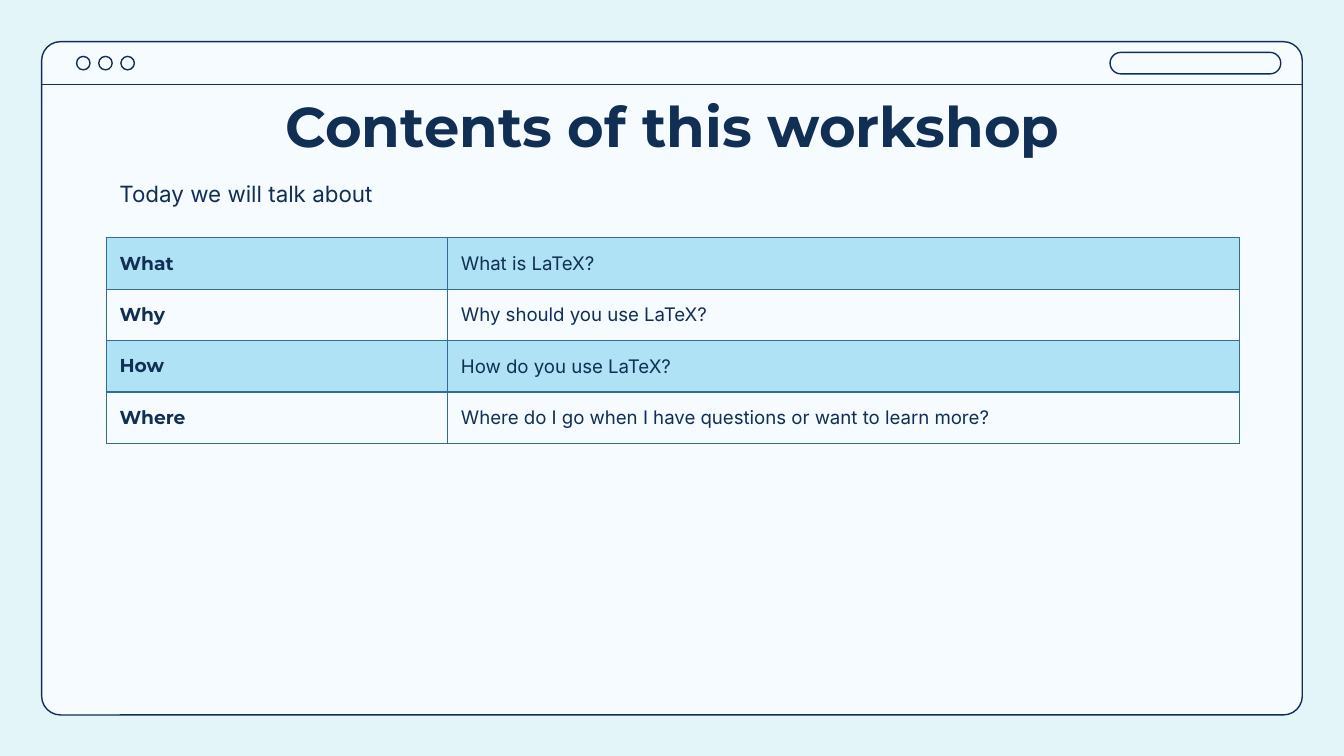
from lxml import etree
from pptx import Presentation
from pptx.dml.color import RGBColor
from pptx.enum.shapes import MSO_CONNECTOR, MSO_SHAPE as SHAPE
from pptx.enum.text import MSO_ANCHOR as ANCHOR, PP_ALIGN as ALIGN
from pptx.oxml import parse_xml
from pptx.oxml.ns import nsdecls, qn
from pptx.util import Inches, Pt

COLORS = {"page": "E4F5FA", "panel": "F5FBFF", "ink": "112E54",
          "band": "AEE2F4", "rule": "356B90"}
HEAD, BODY = "Montserrat", "Inter"
ROWS = [
    ("What", "What is LaTeX?"),
    ("Why", "Why should you use LaTeX?"),
    ("How", "How do you use LaTeX?"),
    ("Where", "Where do I go when I have questions or want to learn more?"),
]


def color(name):
    return RGBColor.from_string(COLORS[name])


def write(frame, text, size=10, font=BODY, bold=False, align=ALIGN.LEFT):
    frame.word_wrap = True
    frame.margin_left = frame.margin_right = Inches(0.1)
    frame.margin_top = frame.margin_bottom = Inches(0.1)
    para = frame.paragraphs[0]
    para.alignment = align
    run = para.add_run()
    run.text = text
    run.font.size = Pt(size)
    run.font.name = font
    run.font.bold = bold
    run.font.color.rgb = color("ink")


def add_text(slide, box, text, **style):
    area = slide.shapes.add_textbox(*map(Inches, box))
    write(area.text_frame, text, **style)


def outline(slide, kind, box, fill=None, round_by=None):
    shape = slide.shapes.add_shape(kind, *map(Inches, box))
    shape.shadow.inherit = False
    if fill:
        shape.fill.solid()
        shape.fill.fore_color.rgb = color(fill)
    else:
        shape.fill.background()
    shape.line.color.rgb = color("ink")
    shape.line.width = Pt(0.75)
    if round_by is not None:
        shape.adjustments[0] = round_by


def add_window(slide, left, top, width, height):
    right, bar = left + width, 0.32
    outline(slide, SHAPE.ROUNDED_RECTANGLE, (left, top, width, height),
            "panel", 0.028)
    # Buttons and address field
    for i in range(3):
        outline(slide, SHAPE.OVAL,
                (left + 0.26 + i * 0.165, top + 0.11, 0.1, 0.1))
    outline(slide, SHAPE.ROUNDED_RECTANGLE,
            (right - 1.43, top + 0.08, 1.27, 0.16), round_by=0.5)
    # Rule under the bar
    ends = (left, top + bar, right, top + bar)
    rule = slide.shapes.add_connector(MSO_CONNECTOR.STRAIGHT,
                                      *map(Inches, ends))
    rule.line.color.rgb = color("ink")
    rule.line.width = Pt(0.75)
    etree.SubElement(rule._element.spPr, qn("a:effectLst"))


def add_borders(cell):
    props = cell._tc.get_or_add_tcPr()
    for side in "LRTB":
        props.append(parse_xml(
            f'<a:ln{side} {nsdecls("a")} w="{Pt(0.75)}"><a:solidFill>'
            f'<a:srgbClr val="{COLORS["rule"]}"/></a:solidFill></a:ln{side}>'))


def add_topics(slide, left, top, width, height):
    frame = slide.shapes.add_table(len(ROWS), 2,
                                   *map(Inches, (left, top, width, height)))
    table = frame.table
    table.first_row = table.horz_banding = False
    table.columns[0].width = Inches(2.54)
    table.columns[1].width = Inches(width - 2.54)
    for r, row in enumerate(ROWS):
        for c, text in enumerate(row):
            cell = table.cell(r, c)
            cell.vertical_anchor = ANCHOR.MIDDLE
            add_borders(cell)
            if r % 2:
                cell.fill.background()
            else:
                cell.fill.solid()
                cell.fill.fore_color.rgb = color("band")
            write(cell.text_frame, text, font=BODY if c else HEAD, bold=not c)


def main():
    deck = Presentation()
    deck.slide_width = Inches(10)
    deck.slide_height = deck.slide_width * 9 // 16
    slide = deck.slides.add_slide(deck.slide_layouts[6])
    slide.background.fill.solid()
    slide.background.fill.fore_color.rgb = color("page")

    left, width = 0.79, 8.43
    add_window(slide, 0.31, 0.31, 9.38, 5.01)
    add_text(slide, (left, 0.58, width, 0.63), "Contents of this workshop",
             size=30, font=HEAD, bold=True, align=ALIGN.CENTER)
    add_topics(slide, left, 1.77, width, 1.53)
    add_text(slide, (left, 1.24, width, 0.38), "Today we will talk about",
             size=12)
    deck.save("out.pptx")


if __name__ == "__main__":
    main()
